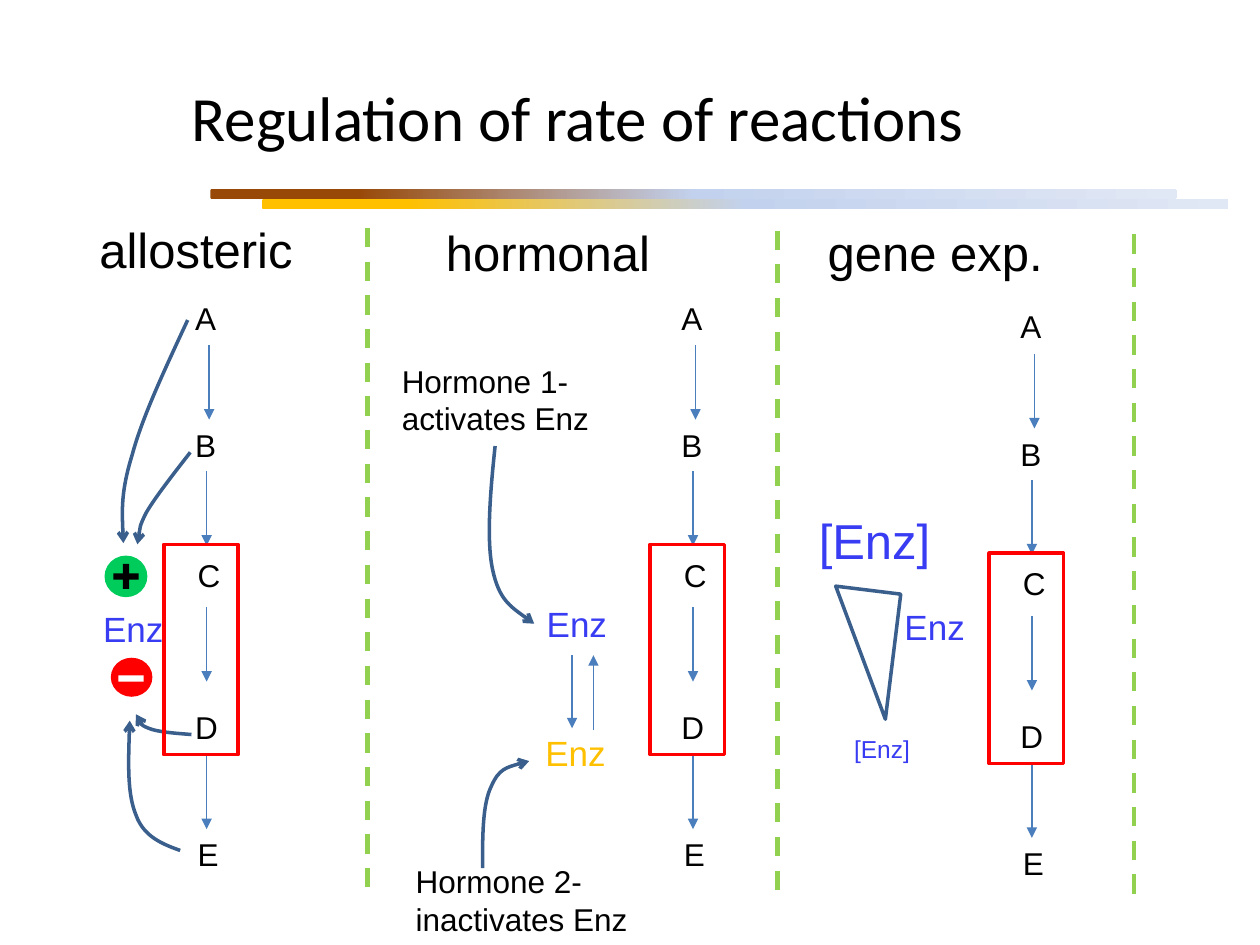
from dataclasses import dataclass
from typing import Any, Optional

from lxml.etree import SubElement
from pptx import Presentation
from pptx.dml.color import RGBColor
from pptx.enum.dml import MSO_LINE
from pptx.enum.shapes import MSO_CONNECTOR, MSO_SHAPE
from pptx.enum.text import MSO_ANCHOR, MSO_AUTO_SIZE, PP_ALIGN
from pptx.oxml.ns import qn
from pptx.util import Pt

PX = 9144  # 100 px to the inch


@dataclass(frozen=True)
class Theme:
    black: str = "000000"
    white: str = "FFFFFF"
    blue: str = "383CF2"
    gold: str = "FFC000"
    red: str = "FF0000"
    green: str = "00CC5C"
    lime: str = "92D050"
    brown: str = "984807"
    steel: str = "4B7EBC"
    navy: str = "3A5F8C"
    mist: str = "C2D1ED"
    pale: str = "E1E8F5"
    title: int = 36
    head: int = 28
    enz: int = 20
    body: int = 18
    small: int = 14
    font: str = "Arial"
    face: str = "Calibri"


T = Theme()


@dataclass(frozen=True)
class Label:
    text: str
    x: int
    y: int
    w: int
    h: int
    size: int = T.body
    color: str = T.black


@dataclass(frozen=True)
class Form:
    kind: MSO_SHAPE
    x: int
    y: int
    w: int
    h: int
    fill: Optional[str] = None
    line: Optional[str] = None
    turn: int = 0


@dataclass(frozen=True)
class Rule:
    x: int
    top: int
    end: int
    color: str = T.steel
    width: float = 0.75
    dash: bool = False


def rgb(color: str) -> RGBColor:
    return RGBColor.from_string(color)


def assign(item: Any, values: dict[str, Any]) -> None:
    for name, value in values.items():
        setattr(item, name, value)


def style(line: Any, color: str, width: float) -> None:
    line.fill.solid()
    line.fill.fore_color.rgb = rgb(color)
    line.width = Pt(width)


def tip(line: Any, kind: str) -> None:
    SubElement(line._get_or_add_ln(), qn("a:tailEnd"), type=kind)


def write(shapes: Any, label: Label) -> None:
    box = shapes.add_textbox(*(n * PX for n in (label.x, label.y, label.w, label.h)))
    frame = box.text_frame
    assign(frame, {"word_wrap": True, "auto_size": MSO_AUTO_SIZE.SHAPE_TO_FIT_TEXT,
                   "text": label.text})
    font = frame.paragraphs[0].runs[0].font
    assign(font, {"name": T.font, "size": Pt(label.size)})
    font.color.rgb = rgb(label.color)


def draw(shapes: Any, form: Form) -> Any:
    shape = shapes.add_shape(form.kind, *(n * PX for n in (form.x, form.y, form.w, form.h)))
    shape.shadow.inherit = False
    shape.rotation = form.turn
    if form.fill:
        shape.fill.solid()
        shape.fill.fore_color.rgb = rgb(form.fill)
    else:
        shape.fill.background()
    if form.line:
        style(shape.line, form.line, 2)
    else:
        shape.line.fill.background()
    return shape


def fade(shapes: Any, x: int, y: int, color: str) -> None:
    bar = draw(shapes, Form(MSO_SHAPE.ROUNDED_RECTANGLE, x, y, 767, 8))
    bar.fill.gradient()
    bar.fill.gradient_angle = 0
    stops = next(bar.element.iter(qn("a:gsLst")))
    stops.clear()
    for place, tone in ((15, color), (50, T.mist), (100, T.pale)):
        stop = SubElement(stops, qn("a:gs"), pos=str(place * 1000))
        SubElement(stop, qn("a:srgbClr"), val=tone)


def link(shapes: Any, rule: Rule) -> None:
    wire = shapes.add_connector(MSO_CONNECTOR.STRAIGHT, rule.x * PX, rule.top * PX,
                                rule.x * PX, rule.end * PX)
    style(wire.line, rule.color, rule.width)
    if rule.dash:
        wire.line.dash_style = MSO_LINE.DASH
    else:
        tip(wire.line, "triangle")
    SubElement(wire.element.spPr, qn("a:effectLst"))


def bend(shapes: Any, dots: list[tuple[int, int]]) -> None:
    """Draw a start point, then three points for each Bezier piece."""
    pen = shapes.build_freeform(*dots[0], scale=PX)
    pen.add_line_segments(dots[1:], close=False)
    curve = pen.convert_to_shape()
    curve.shadow.inherit = False
    curve.fill.background()
    style(curve.line, T.navy, 2)
    tip(curve.line, "arrow")
    legs = list(curve.element.iter(qn("a:lnTo")))
    for trio in zip(legs[::3], legs[1::3], legs[2::3]):
        piece = SubElement(trio[0].getparent(), qn("a:cubicBezTo"))
        for leg in trio:
            piece.append(leg[0])
            leg.getparent().remove(leg)


def chain(shapes: Any, x: int, y: int) -> None:
    """Draw the A to E pathway with its regulated step boxed."""
    for name, dx, dy in (("A", 0, 0), ("B", 0, 101), ("C", 2, 204),
                         ("D", 0, 325), ("E", 2, 426)):
        write(shapes, Label(name, x + dx, y + dy, 42, 42))
    for dx, dy in ((21, 42), (19, 142), (19, 250), (19, 367)):
        link(shapes, Rule(x + dx, y + dy, y + dy + 59))
    draw(shapes, Form(MSO_SHAPE.RECTANGLE, x - 15, y + 200, 59, 167, line=T.red))


LABELS = (
    Label("allosteric", 69, 169, 225, 57, T.head),
    Label("hormonal", 344, 172, 225, 57, T.head),
    Label("gene exp.", 647, 172, 225, 57, T.head),
    Label("Enz", 72, 477, 75, 44, T.enz, T.blue),
    Label("Enz", 424, 473, 75, 44, T.enz, T.blue),
    Label("Enz", 423, 576, 75, 44, T.enz, T.gold),
    Label("Enz", 708, 476, 75, 44, T.enz, T.blue),
    Label("[Enz]", 640, 400, 110, 57, T.head, T.blue),
    Label("[Enz]", 668, 578, 75, 34, T.small, T.blue),
    Label("Hormone 1-activates Enz", 309, 282, 205, 71),
    Label("Hormone 2-inactivates Enz", 320, 679, 205, 71),
)
FORMS = (
    # Minus sign, plus sign, then the falling enzyme level
    Form(MSO_SHAPE.OVAL, 88, 522, 33, 31, T.red),
    Form(MSO_SHAPE.RECTANGLE, 94, 536, 20, 5, T.white),
    Form(MSO_SHAPE.OVAL, 83, 441, 34, 33, T.green),
    Form(MSO_SHAPE.RECTANGLE, 90, 455, 20, 5, T.black),
    Form(MSO_SHAPE.RECTANGLE, 90, 455, 20, 5, T.black, turn=90),
    Form(MSO_SHAPE.RIGHT_TRIANGLE, 657, 468, 52, 100, line=T.navy, turn=187),
)
RULES = (
    Rule(454, 520, 578),
    Rule(471, 579, 520),
    *(Rule(x, y, y + 534, T.lime, 2.75, True)
      for x, y in ((292, 181), (617, 183), (900, 186))),
)
CURVES = (
    # Feedback from A, B, D and E
    [(149, 254), (131, 293), (113, 331), (105, 361), (96, 390), (97, 411), (98, 431)],
    [(151, 359), (137, 377), (123, 395), (116, 407), (110, 419), (109, 432), (109, 432)],
    [(152, 583), (139, 582), (125, 581), (118, 578), (110, 575), (109, 567), (108, 565),
     (106, 563), (108, 567), (108, 567)],
    [(143, 675), (129, 670), (114, 664), (108, 647), (101, 630), (102, 601), (103, 572)],
    # Hormones 1 and 2
    [(393, 354), (389, 391), (386, 429), (391, 452), (396, 476), (410, 485), (424, 495)],
    [(383, 689), (383, 663), (383, 638), (390, 624), (396, 610), (408, 607), (420, 604)],
)


def main() -> None:
    deck = Presentation()
    assign(deck, {"slide_width": 1000 * PX, "slide_height": 750 * PX})
    slide = deck.slides.add_slide(deck.slide_layouts[5])
    shapes = slide.shapes

    # Title and its two bars
    title = shapes.title
    assign(title, {"left": 50 * PX, "top": 30 * PX, "width": 817 * PX, "height": 125 * PX})
    assign(title.text_frame, {"text": "Regulation of rate of reactions",
                              "vertical_anchor": MSO_ANCHOR.MIDDLE})
    para = title.text_frame.paragraphs[0]
    para.alignment = PP_ALIGN.CENTER
    assign(para.runs[0].font, {"name": T.face, "size": Pt(T.title)})
    para.runs[0].font.color.rgb = rgb(T.black)
    fade(shapes, 167, 150, T.brown)
    fade(shapes, 208, 158, T.gold)

    # Labels, signs and curved arrows
    for label in LABELS:
        write(shapes, label)
    for form in FORMS:
        draw(shapes, form)
    for dots in CURVES:
        bend(shapes, dots)

    # Pathways, straight arrows and dividers
    for x, y in ((145, 232), (531, 232), (800, 239)):
        chain(shapes, x, y)
    for rule in RULES:
        link(shapes, rule)

    deck.save("out.pptx")


if __name__ == "__main__":
    main()
